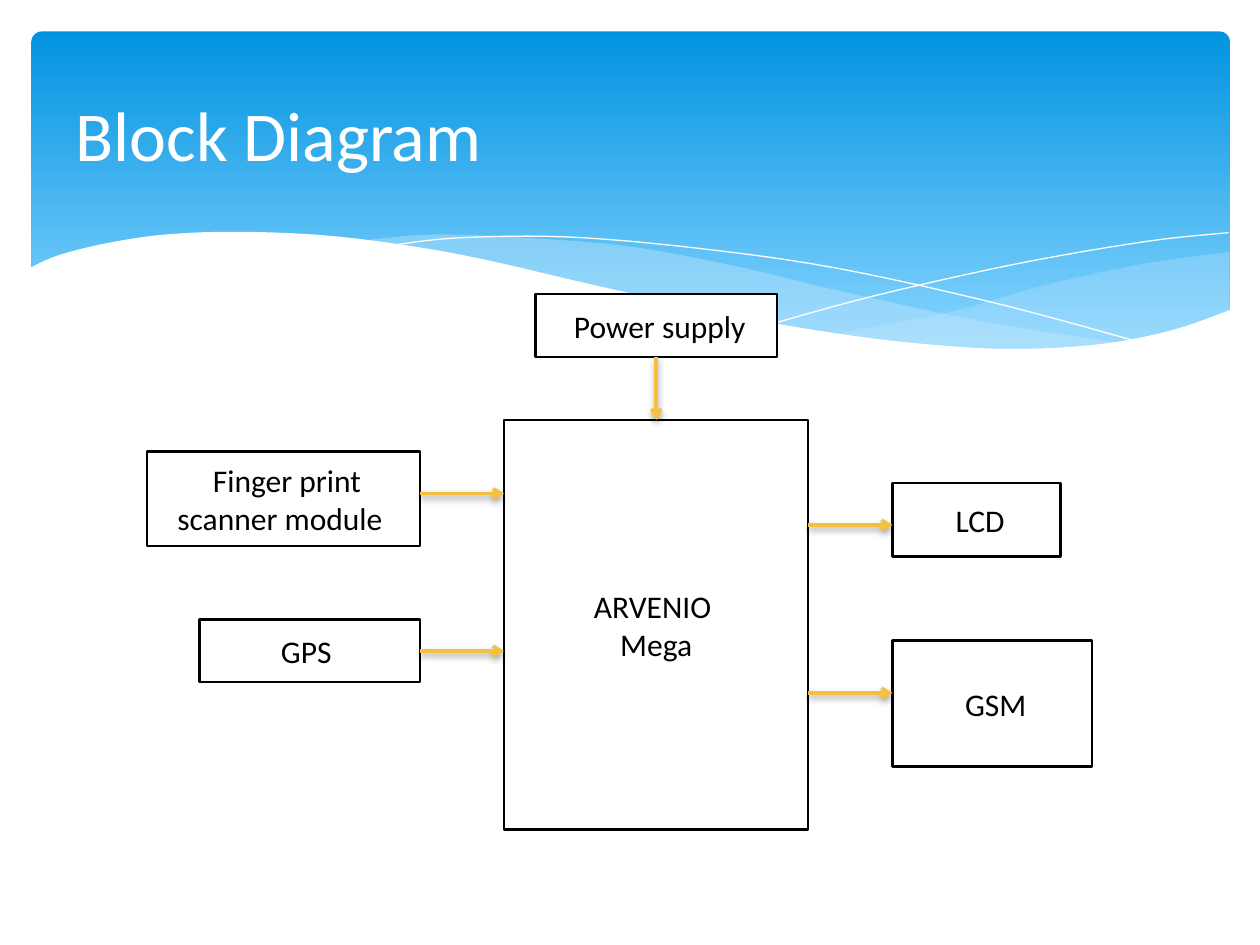
import pptx
import pptx.dml.color
import pptx.enum.dml
import pptx.enum.shapes
import pptx.enum.text
import pptx.oxml
import pptx.oxml.ns
import pptx.util
from lxml import etree

Pt = pptx.util.Pt
ALIGN = pptx.enum.text.PP_ALIGN
SHAPE = pptx.enum.shapes.MSO_SHAPE
NS = pptx.oxml.ns.nsdecls("a")
qn = pptx.oxml.ns.qn


def rgb(color):
    return pptx.dml.color.RGBColor.from_string(color)


def set_text(tf, text, size=18, color="000000", font="Calibri", align=ALIGN.CENTER):
    """Write one paragraph per line of text."""
    tf.word_wrap = True
    tf.vertical_anchor = pptx.enum.text.MSO_ANCHOR.MIDDLE
    for i, line in enumerate(text.split("\n")):
        p = tf.paragraphs[0] if i == 0 else tf.add_paragraph()
        p.alignment = align
        r = p.add_run()
        r.text = line
        r.font.size = Pt(size)
        r.font.name = font
        r.font.color.rgb = rgb(color)


def smooth(knots, steps=6):
    """Points of a Catmull-Rom curve through the knots."""
    ends = [knots[0], *knots, knots[-1]]
    points = [knots[0]]
    for a, b, c, d in zip(ends, ends[1:], ends[2:], ends[3:]):
        for k in range(1, steps + 1):
            t = k / steps
            points.append(tuple(
                (2 * q + (m - p) * t + (2 * p - 5 * q + 4 * m - n) * t**2
                 + (3 * q - p - 3 * m + n) * t**3) / 2
                for p, q, m, n in zip(a, b, c, d)))
    return points


class Diagram:
    ink = "000000"
    paper = "FFFFFF"
    accent = "F5C040"
    veil = "C6E7FC"

    def __init__(self, s):
        self.s = s

    def banner(self, x, y, w, h):
        sp = self.s.shapes.add_shape(SHAPE.ROUNDED_RECTANGLE, Pt(x), Pt(y), Pt(w), Pt(h))
        sp.adjustments[0] = 0.03
        sp.shadow.inherit = False
        sp.line.fill.background()
        sp.fill.gradient()
        sp.fill.gradient_angle = 270
        stops = ((0, "0293E0"), (0.9, "83D3FE"))
        for stop, (position, color) in zip(sp.fill.gradient_stops, stops):
            stop.position = position
            stop.color.rgb = rgb(color)

    def outline(self, points, closed):
        start, *rest = [(Pt(x), Pt(y)) for x, y in points]
        builder = self.s.shapes.build_freeform(*start, scale=1.0)
        builder.add_line_segments(rest, close=closed)
        sp = builder.convert_to_shape()
        sp.shadow.inherit = False
        return sp

    def area(self, points, color, alpha=100):
        sp = self.outline(points, True)
        sp.line.fill.background()
        sp.fill.solid()
        sp.fill.fore_color.rgb = rgb(color)
        if alpha < 100:
            clr = sp.element.spPr.find(qn("a:solidFill"))[0]
            etree.SubElement(clr, qn("a:alpha")).set("val", str(alpha * 1000))

    def curve(self, knots):
        sp = self.outline(smooth(knots), False)
        sp.fill.background()
        sp.line.color.rgb = rgb(self.paper)
        sp.line.width = Pt(0)

    def title(self, text, x, y, w, h):
        sp = self.s.shapes.title
        sp.left, sp.top, sp.width, sp.height = Pt(x), Pt(y), Pt(w), Pt(h)
        set_text(sp.text_frame, text, size=40, color=self.paper, align=ALIGN.LEFT)
        sp.element.getparent().append(sp.element)  # in front of the banner

    def block(self, text, x, y, w, h):
        sp = self.s.shapes.add_shape(SHAPE.RECTANGLE, Pt(x), Pt(y), Pt(w), Pt(h))
        sp.shadow.inherit = False
        sp.fill.solid()
        sp.fill.fore_color.rgb = rgb(self.paper)
        sp.line.color.rgb = rgb(self.ink)
        sp.line.width = Pt(1.25)
        set_text(sp.text_frame, text, color=self.ink)
        return sp

    def arrow(self, x1, y1, x2, y2, begin=None, end=None):
        cxn = self.s.shapes.add_connector(
            pptx.enum.shapes.MSO_CONNECTOR.STRAIGHT, Pt(x1), Pt(y1), Pt(x2), Pt(y2))
        if begin:
            cxn.begin_connect(*begin)
        if end:
            cxn.end_connect(*end)
        cxn.line.color.rgb = rgb(self.accent)
        cxn.line.width = Pt(2)
        spPr = cxn.element.spPr
        etree.SubElement(spPr.find(qn("a:ln")), qn("a:tailEnd")).set("type", "arrow")
        spPr.append(pptx.oxml.parse_xml(
            f'<a:effectLst {NS}><a:outerShdw blurRad="{Pt(4)}" dist="{Pt(2)}" '
            'dir="5400000" rotWithShape="0"><a:srgbClr val="000000">'
            '<a:alpha val="38000"/></a:srgbClr></a:outerShdw></a:effectLst>'))


def main():
    prs = pptx.Presentation()
    prs.slide_width, prs.slide_height = Pt(720), Pt(540)
    d = Diagram(prs.slides.add_slide(prs.slide_layouts[5]))

    # Banner with translucent waves
    d.banner(18, 18, 684.7, 194.4)
    right_top = [(702.4, 144), (652, 151), (599, 162.5), (542, 178.5), (476, 191)]
    right_bottom = [(476, 191), (527, 197), (578, 199.7), (628, 197.3),
                    (668, 189), (702.4, 178)]
    d.area(smooth(right_top) + smooth(right_bottom), d.veil, 29)
    middle_top = [(206, 137.5), (248, 134), (302, 136), (361, 141), (420, 152),
                  (481, 166.5), (558, 183), (643, 196.5)]
    middle_bottom = [(643, 196.5), (581, 200.7), (521, 197), (457, 188),
                     (382, 173), (307, 155.5), (247, 143), (206, 137.5)]
    d.area(smooth(middle_top) + smooth(middle_bottom), d.veil, 40)
    d.curve([(222.5, 140.4), (261, 136), (324, 135.4), (400, 142),
             (479, 153.4), (572, 174), (653, 196)])
    d.curve([(441.4, 185), (500, 169), (580, 151), (655, 138), (702, 133)])

    # White wave that cuts off the banner
    wave = [(16.6, 153.4), (33, 146), (61, 139), (95, 134), (139, 132.5),
            (195, 135.4), (263, 145.5), (342, 163.5), (417, 180), (481, 191),
            (536, 197.3), (582.5, 199.4), (630, 196.5), (670, 188.6), (703.4, 177)]
    d.area(smooth(wave) + [(703.4, 237), (16.6, 237)], d.paper)

    d.title("Block Diagram", 36, 27, 648, 98.6)

    # Blocks
    d.block(" Finger print scanner module ", 84, 258, 156, 54)
    d.block(" LCD", 510, 276, 96, 42)
    d.block(" GSM", 510, 366, 114, 72)
    power = d.block(" Power supply", 306, 168, 138, 36)
    board = d.block("ARVENIO \nMega", 288, 240, 174, 234)
    gps = d.block("GPS ", 114, 354, 126, 36)

    # Arrows into and out of the board
    d.arrow(375, 204, 375, 240, begin=(power, 2), end=(board, 0))
    d.arrow(240, 282, 288, 282)
    d.arrow(240, 372, 288, 372, begin=(gps, 3))
    for y in (300, 396):
        d.arrow(462, y, 510, y)

    prs.save("out.pptx")


if __name__ == "__main__":
    main()
